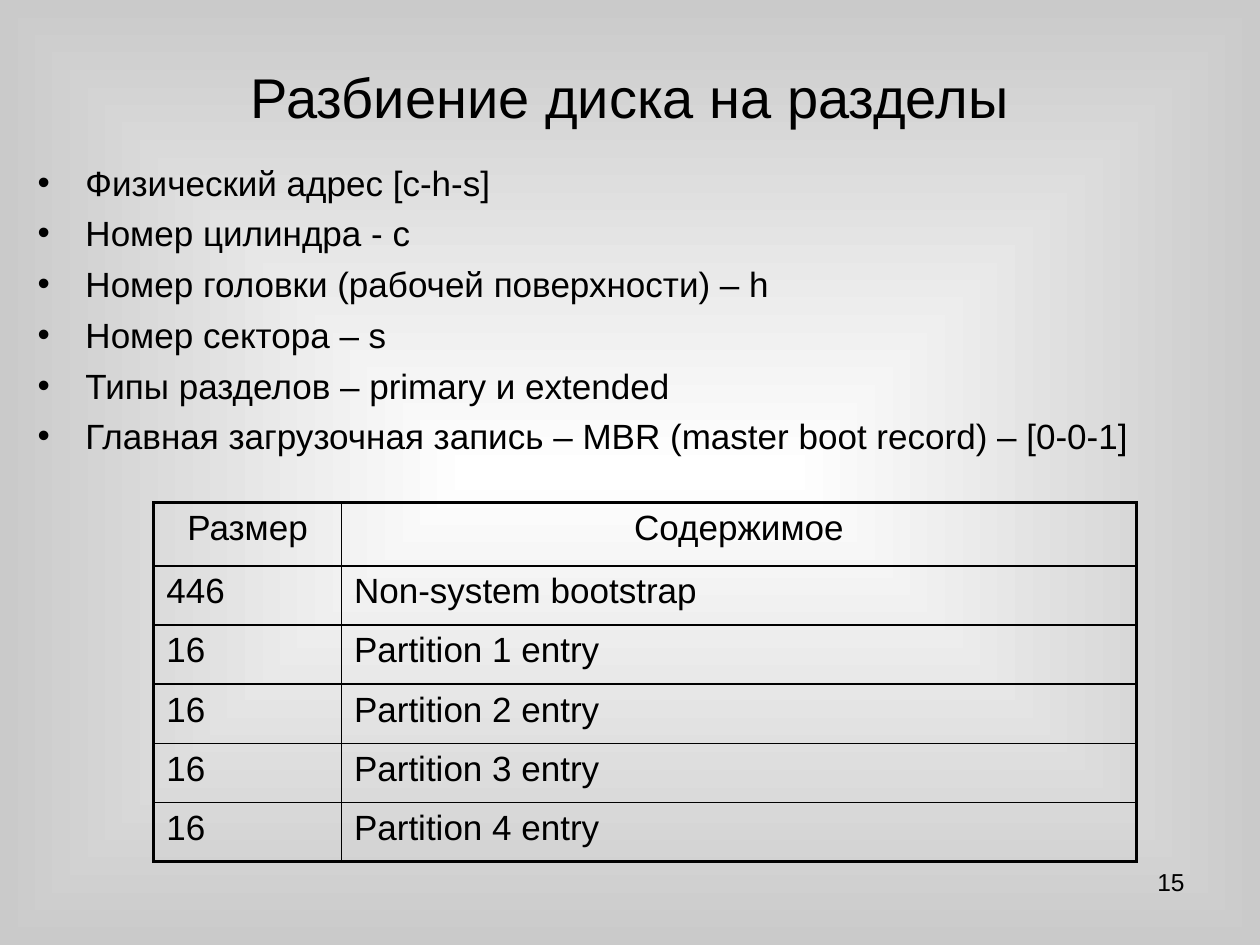
from lxml import etree
from pptx import Presentation
from pptx import util as u
from pptx.dml import color
from pptx.enum import text
from pptx.oxml import ns

COLORS = {"ink": "000000", "center": "FFFFFF", "edge": "CACACA"}
FONT = "Arial"
THIN, THICK = 1, 2.25

BULLETS = [
    "Физический адрес [c-h-s]",
    "Номер цилиндра - c",
    "Номер головки (рабочей поверхности) – h",
    "Номер сектора – s",
    "Типы разделов – primary и extended",
    "Главная загрузочная запись – MBR (master boot record) – [0-0-1]",
]
MBR_ROWS = [("Размер", "Содержимое"), ("446", "Non-system bootstrap")]
MBR_ROWS += [("16", f"Partition {n} entry") for n in range(1, 5)]


def rgb(name):
    return color.RGBColor.from_string(COLORS[name])


def sub(parent, tag, **attrs):
    return etree.SubElement(parent, ns.qn(tag), **attrs)


class Deck:
    def __init__(self, prs):
        self.s = prs.slides.add_slide(prs.slide_layouts[5])

    def format(self, p, size, align=text.PP_ALIGN.LEFT):
        p.alignment = align
        for r in p.runs:
            r.font.name = FONT
            r.font.size = u.Pt(size)
            r.font.bold = False
            r.font.color.rgb = rgb("ink")

    def background(self):
        fill = self.s.background.fill
        fill.gradient()
        for stop, name in zip(fill.gradient_stops, ("center", "edge")):
            stop.color.rgb = rgb(name)
        grad = self.s.background._cSld.find(".//" + ns.qn("a:gradFill"))
        lin = grad.find(ns.qn("a:lin"))
        if lin is not None:
            grad.remove(lin)
        shade = sub(grad, "a:path", path="rect")
        sub(shade, "a:fillToRect", l="50000", t="50000", r="50000", b="50000")

    def title(self, words, box):
        sp = self.s.shapes.title
        sp.left, sp.top, sp.width, sp.height = map(u.Inches, box)
        tf = sp.text_frame
        tf.text = words
        tf.vertical_anchor = text.MSO_ANCHOR.MIDDLE
        self.format(tf.paragraphs[0], 32, text.PP_ALIGN.CENTER)

    def textbox(self, words, box, size, align=text.PP_ALIGN.LEFT):
        sp = self.s.shapes.add_textbox(*map(u.Inches, box))
        tf = sp.text_frame
        tf.word_wrap = True
        tf.text = words
        for p in tf.paragraphs:
            self.format(p, size, align)
        return tf

    def bullets(self, items, box):
        tf = self.textbox("\n".join(items), box, 20)
        indent = u.Inches(0.38)
        for i, p in enumerate(tf.paragraphs):
            pPr = p._p.get_or_add_pPr()
            pPr.set("marL", str(indent))
            pPr.set("indent", str(-indent))
            sub(pPr, "a:buFont", typeface=FONT)
            sub(pPr, "a:buChar", char="•")
            if i:
                p.space_before = u.Pt(5)

    def borders(self, cell, widths):
        tcPr = cell._tc.get_or_add_tcPr()
        for i, (side, width) in enumerate(zip("LRTB", widths)):
            ln = etree.Element(ns.qn("a:ln" + side), w=str(u.Pt(width)))
            sub(sub(ln, "a:solidFill"), "a:srgbClr", val=COLORS["ink"])
            tcPr.insert(i, ln)

    def table(self, rows, box, col_widths, row_heights):
        last_row, last_col = len(rows) - 1, len(col_widths) - 1
        frame = self.s.shapes.add_table(
            len(rows), len(col_widths), *map(u.Inches, box))
        tbl = frame.table
        tbl.first_row = tbl.horz_banding = False
        for col, width in zip(tbl.columns, col_widths):
            col.width = u.Inches(width)
        for row, height in zip(tbl.rows, row_heights):
            row.height = u.Inches(height)
        for i, row in enumerate(rows):
            for j, words in enumerate(row):
                cell = tbl.cell(i, j)
                cell.text = words
                cell.fill.background()
                align = text.PP_ALIGN.LEFT if i else text.PP_ALIGN.CENTER
                self.format(cell.text_frame.paragraphs[0], 20, align)
                outer = (j == 0, j == last_col, i == 0, i == last_row)
                self.borders(cell, [THICK if o else THIN for o in outer])


def main():
    prs = Presentation()
    prs.slide_width, prs.slide_height = u.Inches(10), u.Inches(7.5)
    deck = Deck(prs)
    deck.background()
    deck.textbox("15", (7.17, 6.83, 2.33, 0.52), 14, text.PP_ALIGN.RIGHT)
    deck.title("Разбиение диска на разделы", (0.5, 0.3, 9, 0.93))
    deck.bullets(BULLETS, (0.2, 1.23, 9.61, 2.6))
    deck.table(MBR_ROWS, (1.22, 3.99, 7.8, 2.85), (1.49, 6.31),
               [0.5] + [0.47] * 5)
    prs.save("out.pptx")


if __name__ == "__main__":
    main()
